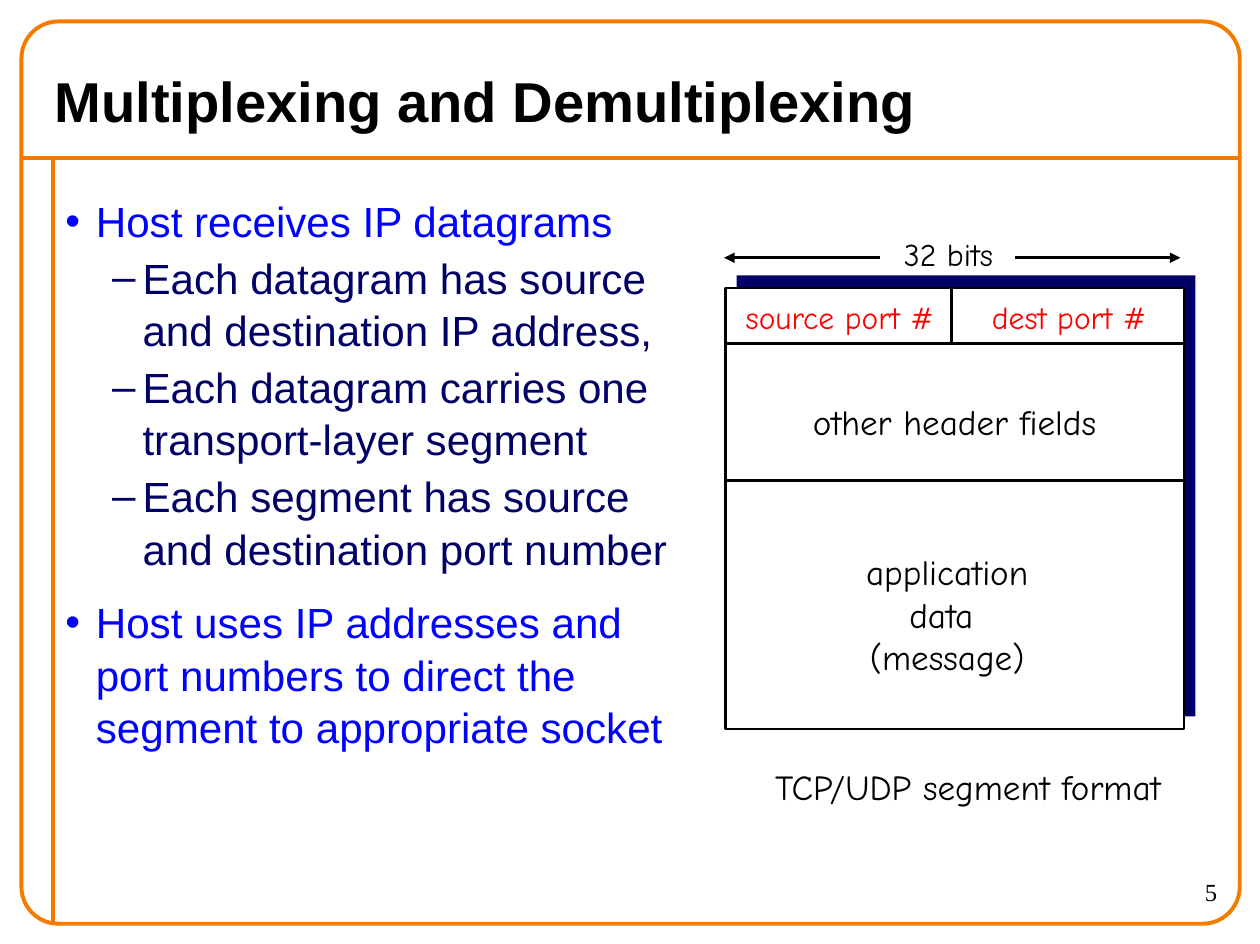
from dataclasses import dataclass

from lxml.etree import SubElement
from pptx import Presentation
from pptx.dml.color import RGBColor
from pptx.enum.shapes import MSO_CONNECTOR, MSO_SHAPE
from pptx.enum.text import MSO_ANCHOR, MSO_AUTO_SIZE, PP_ALIGN
from pptx.oxml.ns import qn
from pptx.shapes.autoshape import Shape
from pptx.slide import Slide
from pptx.text.text import TextFrame, _Paragraph as Paragraph
from pptx.util import Inches, Pt

ORANGE, BLACK, WHITE = "F47A00", "000000", "FFFFFF"
NAVY, BLUE, RED = "000066", "0000FF", "FF0000"
SANS, HAND, SERIF = "Arial", "Comic Neue", "Times New Roman"


@dataclass(frozen=True)
class Box:
    left: float
    top: float
    width: float
    height: float

    def lengths(self) -> list[Inches]:
        return [Inches(v) for v in (self.left, self.top, self.width, self.height)]


@dataclass(frozen=True)
class Panel:
    box: Box
    fill: str | None = None
    line: str | None = None
    weight: float = 1.5
    corner: float = 0


@dataclass(frozen=True)
class Rule:
    start: tuple[float, float]
    end: tuple[float, float]
    color: str = BLACK
    weight: float = 1.5
    arrow: bool = False


@dataclass(frozen=True)
class Label:
    box: Box
    lines: tuple[str, ...]
    size: float = 20
    color: str = BLACK
    font: str = HAND
    align: PP_ALIGN = PP_ALIGN.CENTER


@dataclass(frozen=True)
class BulletStyle:
    level: int
    mark: str
    indent: float
    space_before: float
    color: str


FRAME = Box(0.17, 0.17, 9.64, 7.14)
FRAME_RIGHT, FRAME_BOTTOM = FRAME.left + FRAME.width, FRAME.top + FRAME.height
HEADER_Y, MARGIN_X = 1.25, 0.42
SEGMENT = Box(5.74, 2.28, 3.63, 3.49)
SEGMENT_RIGHT = SEGMENT.left + SEGMENT.width
PORTS_Y, FIELDS_Y, PORT_SPLIT_X = 2.72, 3.8, 7.53
WIDTH_Y = 2.04

PANELS = [
    Panel(FRAME, line=ORANGE, weight=2.25, corner=0.041),
    Panel(Box(SEGMENT.left + 0.09, SEGMENT.top - 0.1, SEGMENT.width, SEGMENT.height), fill=NAVY),
    Panel(SEGMENT, fill=WHITE, line=BLACK),
]
RULES = [
    Rule((FRAME.left, HEADER_Y), (FRAME_RIGHT, HEADER_Y), ORANGE, 2.25),
    Rule((MARGIN_X, HEADER_Y), (MARGIN_X, FRAME_BOTTOM), ORANGE, 2.25),
    Rule((SEGMENT.left, PORTS_Y), (SEGMENT_RIGHT, PORTS_Y)),
    Rule((SEGMENT.left, FIELDS_Y), (SEGMENT_RIGHT, FIELDS_Y)),
    Rule((PORT_SPLIT_X, PORTS_Y), (PORT_SPLIT_X, SEGMENT.top)),
    Rule((8.03, WIDTH_Y), (9.34, WIDTH_Y), arrow=True),
    Rule((6.96, WIDTH_Y), (5.73, WIDTH_Y), arrow=True),
]
LABELS = [
    Label(Box(5.72, 2.31, 1.85, 0.4), ("source port #",), 18, RED),
    Label(Box(7.66, 2.31, 1.6, 0.4), ("dest port #",), 18, RED),
    Label(Box(6.98, 1.81, 1.05, 0.4), ("32 bits",), 18),
    Label(Box(6.7, 4.31, 1.59, 1.11), ("application", "data ", "(message)")),
    Label(Box(6.17, 3.12, 2.77, 0.44), ("other header fields",)),
    Label(Box(5.87, 6.01, 3.58, 0.44), ("TCP/UDP segment format",)),
    Label(Box(8.73, 6.89, 1, 0.42), ("5",), 14, BLACK, SERIF, PP_ALIGN.RIGHT),
]
POINT = BulletStyle(0, "•", 0.24, 12, BLUE)
DETAIL = BulletStyle(1, "–", 0.61, 2.4, NAVY)
HANGING = 0.24
BULLETS = [
    (POINT, "Host receives IP datagrams"),
    (DETAIL, "Each datagram has source and destination IP address,"),
    (DETAIL, "Each datagram carries one transport-layer segment"),
    (DETAIL, "Each segment has source and destination port number"),
    (POINT, "Host uses IP addresses and port numbers to direct the segment to appropriate socket"),
]


def rgb(color: str) -> RGBColor:
    return RGBColor.from_string(color)


def add_run(paragraph: Paragraph, text: str, font: str, size: float, color: str,
            bold: bool = False) -> None:
    run = paragraph.add_run()
    run.text = text
    run.font.name, run.font.size, run.font.bold = font, Pt(size), bold
    run.font.color.rgb = rgb(color)


def next_paragraph(frame: TextFrame, index: int) -> Paragraph:
    """Return the paragraph every frame starts with, then new ones."""
    return frame.add_paragraph() if index else frame.paragraphs[0]


def add_panel(slide: Slide, panel: Panel) -> Shape:
    kind = MSO_SHAPE.ROUNDED_RECTANGLE if panel.corner else MSO_SHAPE.RECTANGLE
    shape = slide.shapes.add_shape(kind, *panel.box.lengths())
    shape.shadow.inherit = False
    if panel.corner:
        shape.adjustments[0] = panel.corner
    if panel.fill:
        shape.fill.solid()
        shape.fill.fore_color.rgb = rgb(panel.fill)
    else:
        shape.fill.background()
    if panel.line:
        shape.line.color.rgb = rgb(panel.line)
        shape.line.width = Pt(panel.weight)
    else:
        shape.line.fill.background()
    return shape


def add_rule(slide: Slide, rule: Rule) -> None:
    ends = [Inches(v) for v in (*rule.start, *rule.end)]
    connector = slide.shapes.add_connector(MSO_CONNECTOR.STRAIGHT, *ends)
    connector.line.color.rgb = rgb(rule.color)
    connector.line.width = Pt(rule.weight)
    if rule.arrow:
        SubElement(connector.line._get_or_add_ln(), qn("a:tailEnd"), type="triangle")
    SubElement(connector._element.spPr, qn("a:effectLst"))


def add_label(slide: Slide, label: Label) -> None:
    frame = slide.shapes.add_textbox(*label.box.lengths()).text_frame
    frame.word_wrap = label.align == PP_ALIGN.RIGHT
    for index, text in enumerate(label.lines):
        paragraph = next_paragraph(frame, index)
        paragraph.alignment = label.align
        add_run(paragraph, text, label.font, label.size, label.color)


def add_title(slide: Slide, text: str) -> None:
    title = slide.shapes.title
    title.left, title.top, title.width, title.height = Box(0.33, 0.42, 8.8, 0.75).lengths()
    frame = title.text_frame
    frame.auto_size = MSO_AUTO_SIZE.NONE
    frame.vertical_anchor = MSO_ANCHOR.MIDDLE
    frame.paragraphs[0].alignment = PP_ALIGN.LEFT
    add_run(frame.paragraphs[0], text, SANS, 32, BLACK, bold=True)


def add_bullets(slide: Slide) -> None:
    frame = slide.shapes.add_textbox(*Box(0.42, 1.48, 5.07, 5.48).lengths()).text_frame
    frame.word_wrap = True
    for index, (style, text) in enumerate(BULLETS):
        paragraph = next_paragraph(frame, index)
        paragraph.level = style.level
        paragraph.line_spacing = 1.04
        paragraph.space_before = Pt(style.space_before)
        properties = paragraph._p.get_or_add_pPr()
        properties.set("marL", str(Inches(style.indent)))
        properties.set("indent", str(-Inches(HANGING)))
        SubElement(properties, qn("a:buFont"), typeface=SANS)
        SubElement(properties, qn("a:buChar"), char=style.mark)
        add_run(paragraph, text, SANS, 24, style.color)


def main() -> None:
    deck = Presentation()
    deck.slide_width, deck.slide_height = Inches(9.97), Inches(7.47)
    slide = deck.slides.add_slide(deck.slide_layouts.get_by_name("Title Only"))
    add_title(slide, "Multiplexing and Demultiplexing")
    add_bullets(slide)
    for panel in PANELS:
        add_panel(slide, panel)
    for rule in RULES:
        add_rule(slide, rule)
    for label in LABELS:
        add_label(slide, label)
    deck.save("out.pptx")


if __name__ == "__main__":
    main()
